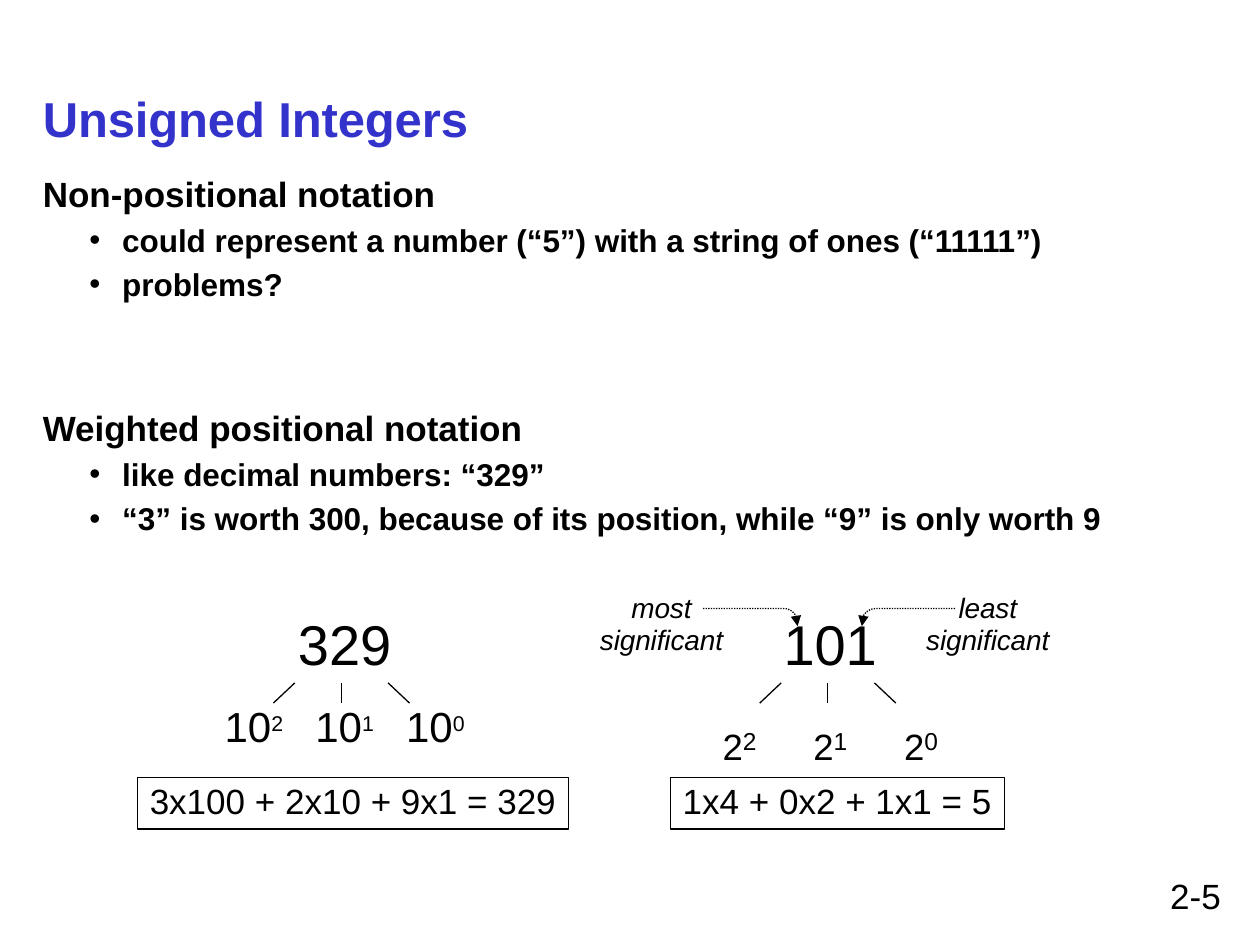
from math import cos, pi, sin

from lxml.etree import SubElement
from pptx import Presentation
from pptx.dml.color import RGBColor
from pptx.enum.dml import MSO_LINE_DASH_STYLE as Dash
from pptx.enum.shapes import MSO_CONNECTOR as Connector, MSO_SHAPE as Shape
from pptx.enum.text import MSO_ANCHOR as Anchor, MSO_AUTO_SIZE as AutoSize, PP_ALIGN as Align
from pptx.oxml.ns import qn
from pptx.util import Inches, Pt


def color(value):
    return RGBColor.from_string(value)


class SlideBuilder:
    font = "Arial"
    ink = "000000"
    accent = "3333CC"
    line_width = 0.75

    def __init__(self, slide):
        self.slide = slide

    def format_run(self, run, size, fill=ink, bold=False, italic=False, tracking=0, baseline=0):
        font = run.font
        font.name, font.size = self.font, Pt(size)
        font.bold, font.italic = bold, italic
        font.color.rgb = color(fill)
        properties = font._element
        if tracking:
            properties.set("spc", str(tracking))
        if baseline:
            properties.set("baseline", str(baseline * 1000))

    def prepare_frame(self, shape, top_inset=0.0, left_inset=0.0, wrap=True):
        frame = shape.text_frame
        frame.margin_left, frame.margin_top = Inches(left_inset), Inches(top_inset)
        frame.margin_right = frame.margin_bottom = 0
        frame.vertical_anchor = Anchor.TOP
        frame.auto_size = AutoSize.NONE
        frame.word_wrap = wrap
        return frame

    def place(self, shape, left, top, width, height):
        shape.left, shape.top = Inches(left), Inches(top)
        shape.width, shape.height = Inches(width), Inches(height)

    def title(self, text, box):
        shape = self.slide.shapes.title
        self.place(shape, *box)
        frame = self.prepare_frame(shape, 0.01, 0.01)
        frame.text = text
        paragraph = frame.paragraphs[0]
        paragraph.alignment = Align.LEFT
        self.format_run(paragraph.runs[0], 28, self.accent, bold=True, tracking=-5)

    def bullet_list(self, placeholder, box, heading, items):
        self.place(placeholder, *box)
        frame = self.prepare_frame(placeholder, 0.07)
        frame.text = "\n".join([heading, *items])
        for index, paragraph in enumerate(frame.paragraphs):
            properties = paragraph._p.get_or_add_pPr()
            paragraph.space_before = Pt((0, 3.4, 3.7)[index])
            if index:
                paragraph.level = 1
                properties.set("marL", str(Inches(0.64)))
                properties.set("indent", str(Inches(-0.26)))
                SubElement(properties, qn("a:buChar")).set("char", "•")
            else:
                properties.set("marL", str(Inches(0.01)))
                properties.set("indent", "0")
                SubElement(properties, qn("a:buNone"))
            self.format_run(paragraph.runs[0], 18 if index else 20, bold=True, tracking=-3)

    def text(self, text, box, size, align=Align.LEFT, italic=False, tracking=0, top_inset=0.0):
        shape = self.slide.shapes.add_textbox(*map(Inches, box))
        frame = self.prepare_frame(shape, top_inset)
        frame.text = text
        paragraph = frame.paragraphs[0]
        paragraph.alignment = align
        self.format_run(paragraph.runs[0], size, italic=italic, tracking=tracking)
        return frame

    def expansion(self, number, box, top_inset, base, base_style, power_style, gap):
        frame = self.text(number, box, 32, Align.CENTER, tracking=-5, top_inset=top_inset)
        paragraph = frame.add_paragraph()
        paragraph.alignment = Align.CENTER
        paragraph.space_before = Pt(gap)
        tabs = SubElement(paragraph._p.get_or_add_pPr(), qn("a:tabLst"))
        for position in (0.72, 1.44):
            tab = SubElement(tabs, qn("a:tab"))
            tab.set("pos", str(Inches(position)))
            tab.set("algn", "l")
        for power in ("2\t", "1\t", "0"):
            for text, (size, baseline) in ((base, base_style), (power, power_style)):
                run = paragraph.add_run()
                run.text = text
                self.format_run(run, size, baseline=baseline)

    def style_line(self, line):
        line.width = Pt(self.line_width)
        line.color.rgb = color(self.ink)

    def line(self, start, end):
        connector = self.slide.shapes.add_connector(
            Connector.STRAIGHT, *map(Inches, (*start, *end)))
        self.style_line(connector.line)
        SubElement(connector._element.spPr, qn("a:effectLst"))

    def branches(self, center):
        for side in (-1, 0, 1):
            self.line((center + side * 0.37, 5.42), (center + side * 0.54, 5.58))

    def formula(self, text, box):
        shape = self.slide.shapes.add_shape(Shape.RECTANGLE, *map(Inches, box))
        shape.shadow.inherit = False
        shape.fill.background()
        self.style_line(shape.line)
        frame = self.prepare_frame(shape, 0.02, 0.1, wrap=False)
        frame.text = text
        paragraph = frame.paragraphs[0]
        paragraph.alignment = Align.LEFT
        self.format_run(paragraph.runs[0], 20)

    def dotted_arrow(self, start_x, end_x, top, bottom):
        radius = 0.11
        side = 1 if end_x > start_x else -1
        angles = [step * pi / 16 for step in range(9)]
        points = [(end_x - side * radius * (1 - sin(angle)), top + radius * (1 - cos(angle)))
                  for angle in angles] + [(end_x, bottom)]
        builder = self.slide.shapes.build_freeform(Inches(start_x), Inches(top))
        builder.add_line_segments([(Inches(x), Inches(y)) for x, y in points], close=False)
        shape = builder.convert_to_shape()
        shape.shadow.inherit = False
        shape.fill.background()
        self.style_line(shape.line)
        shape.line.dash_style = Dash.ROUND_DOT
        SubElement(shape.line._get_or_add_ln(), qn("a:tailEnd")).set("type", "triangle")


def main():
    presentation = Presentation()
    presentation.slide_width, presentation.slide_height = Inches(10), Inches(7.5)
    slide = presentation.slides.add_slide(presentation.slide_layouts[3])
    builder = SlideBuilder(slide)

    builder.title("Unsigned Integers", (0.33, 0.69, 3.6, 0.49))
    builder.bullet_list(slide.placeholders[1], (0.33, 1.3, 8.2, 1.11), "Non-positional notation", [
        "could represent a number (“5”) with a string of ones (“11111”)",
        "problems?",
    ])
    builder.bullet_list(slide.placeholders[2], (0.33, 3.16, 8.7, 1.11), "Weighted positional notation", [
        "like decimal numbers: “329”",
        "“3” is worth 300, because of its position, while “9” is only worth 9",
    ])

    builder.expansion("329", (1.71, 4.58, 2.05, 1.39), 0.26, "10", (24, 0), (21, 28), 13.2)
    builder.expansion("101", (5.66, 4.72, 1.86, 1.16), 0.12, "2", (36, -16), (14, 0), 6)
    for center in (2.71, 6.57):
        builder.branches(center)
    builder.formula("3x100 + 2x10 + 9x1 = 329", (1.09, 6.17, 3.42, 0.41))
    builder.formula("1x4 + 0x2 + 1x1 = 5", (5.32, 6.17, 2.65, 0.41))

    for word, center in (("most", 5.25), ("least", 7.84)):
        for text, top, width in ((word, 4.68, 0.51), ("significant", 4.93, 1.02)):
            builder.text(text, (center - width / 2, top, width, 0.29), 16, Align.CENTER,
                         italic=True, tracking=-5, top_inset=0.01)
    builder.dotted_arrow(5.58, 6.33, 4.83, 4.97)
    builder.dotted_arrow(7.58, 6.84, 4.83, 4.97)

    page_number = builder.text("2-5", (9.08, 6.95, 0.61, 0.34), 20, Align.RIGHT)
    page_number.paragraphs[0].line_spacing = Pt(23.1)
    presentation.save("out.pptx")


if __name__ == "__main__":
    main()
